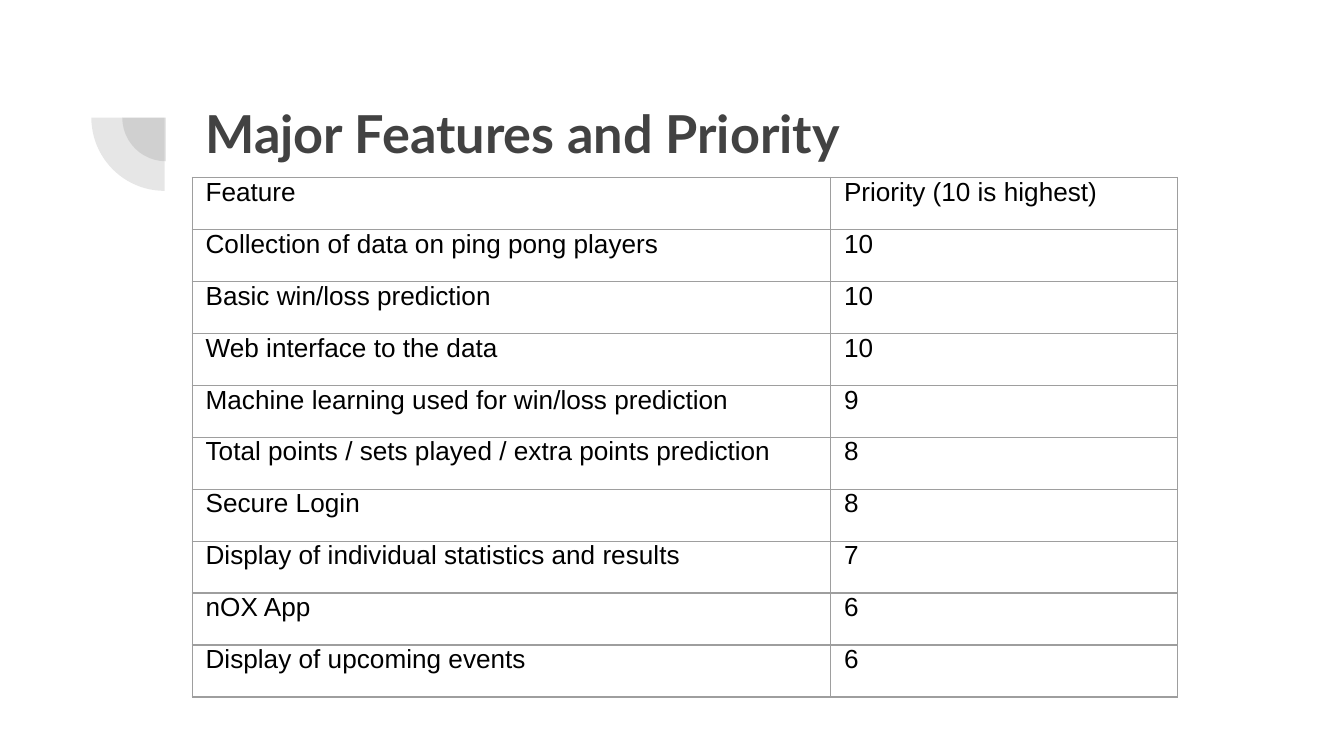
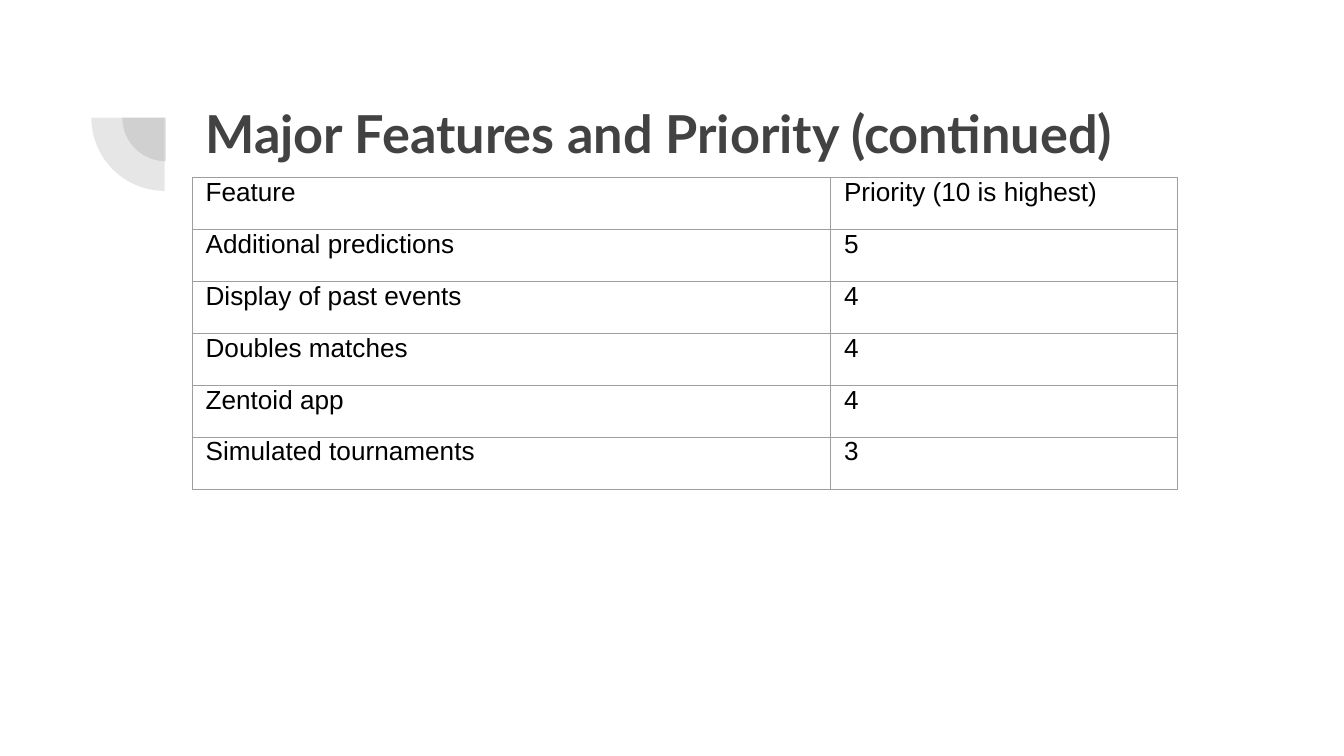
from lxml.etree import SubElement as Sub
from pptx import Presentation
from pptx.dml.color import RGBColor as Rgb
from pptx.enum.shapes import MSO_SHAPE as Kind
from pptx.enum.text import MSO_ANCHOR as Anchor, MSO_AUTO_SIZE as Auto, PP_ALIGN as Align
from pptx.oxml.ns import qn
from pptx.util import Inches, Pt

HUES = {"back": "FFFFFF", "dark": "424242", "text": "000000", "rule": "9E9E9E"}
WIDE = Inches(10)
HEAD = ("Feature", "Priority (10 is highest)")
WIDTHS = (4.75, 2.58)
ROW = Inches(3.87) // 10
ARCS = ((0.91, 0.55, 0.65), (0.68, 0.33, 1.09))
PAGES = (
    ("Major Features and Priority", (
        ("Collection of data on ping pong players", 10),
        ("Basic win/loss prediction", 10),
        ("Web interface to the data", 10),
        ("Machine learning used for win/loss prediction", 9),
        ("Total points / sets played / extra points prediction", 8),
        ("Secure Login", 8),
        ("Display of individual statistics and results", 7),
        ("nOX App", 6),
        ("Display of upcoming events", 6),
    )),
    ("Major Features and Priority (continued)", (
        ("Additional predictions", 5),
        ("Display of past events", 4),
        ("Doubles matches", 4),
        ("Zentoid app", 4),
        ("Simulated tournaments", 3),
    )),
)


def add_run(frame, text, size, face, hue, bold=False):
    """Add one styled run to the first paragraph of a text frame."""
    para = frame.paragraphs[0]
    para.alignment = Align.LEFT
    run = para.add_run()
    run.text = text
    font = run.font
    font.size, font.name, font.bold = Pt(size), face, bold
    font.color.rgb = Rgb.from_string(HUES[hue])


def add_arc(slide, left, top, size):
    """Draw one translucent quarter disc."""
    arc = slide.shapes.add_shape(
        Kind.PIE, Inches(left), Inches(top), Inches(size), Inches(size))
    arc.adjustments[0], arc.adjustments[1] = 108, 162
    arc.rotation = 270
    arc.shadow.inherit = False
    arc.line.fill.background()
    arc.fill.solid()
    arc.fill.fore_color.rgb = Rgb.from_string(HUES["dark"])
    tint = arc.fill._xPr.find(qn("a:solidFill"))[0]
    Sub(tint, qn("a:alpha"), val="13000")


def set_title(slide, text):
    """Place and fill the title."""
    title = slide.shapes.title
    title.left, title.top = Inches(1.43), Inches(0.65)
    title.width, title.height = Inches(7.69), Inches(1.09)
    frame = title.text_frame
    frame.word_wrap = True
    frame.auto_size = Auto.NONE
    frame.vertical_anchor = Anchor.TOP
    frame.margin_left = frame.margin_right = Inches(0.1)
    frame.margin_top = frame.margin_bottom = Inches(0.1)
    add_run(frame, text, 28, "Lato", "dark", True)


def set_cell(cell, text):
    """Give a cell its margins, borders and text."""
    cell.margin_left = cell.margin_right = Inches(0.1)
    cell.margin_top = cell.margin_bottom = 0
    props = cell._tc.get_or_add_tcPr()
    for side in "LRTB":
        line = Sub(props, qn(f"a:ln{side}"), w=str(Pt(0.75)))
        fill = Sub(line, qn("a:solidFill"))
        Sub(fill, qn("a:srgbClr"), val=HUES["rule"])
    cell.fill.background()
    add_run(cell.text_frame, text, 14, "Arial", "text")


def add_grid(slide, rows):
    """Add the table of features."""
    rows = (HEAD, *rows)
    grid = slide.shapes.add_table(
        len(rows), len(HEAD), Inches(1.43), Inches(1.32),
        Inches(sum(WIDTHS)), ROW * len(rows)).table
    grid.first_row = grid.horz_banding = False
    for col, width in zip(grid.columns, WIDTHS):
        col.width = Inches(width)
    for line, row in zip(grid.rows, rows):
        line.height = ROW
        for cell, value in zip(line.cells, row):
            set_cell(cell, str(value))


def add_page(deck, title, rows):
    """Build one slide."""
    slide = deck.slides.add_slide(deck.slide_layouts[5])
    fill = slide.background.fill
    fill.solid()
    fill.fore_color.rgb = Rgb.from_string(HUES["back"])
    for arc in ARCS:
        add_arc(slide, *arc)
    set_title(slide, title)
    add_grid(slide, rows)


def main():
    """Build and save the deck."""
    deck = Presentation()
    deck.slide_width, deck.slide_height = WIDE, WIDE * 9 // 16
    for title, rows in PAGES:
        add_page(deck, title, rows)
    deck.save("out.pptx")


if __name__ == "__main__":
    main()
